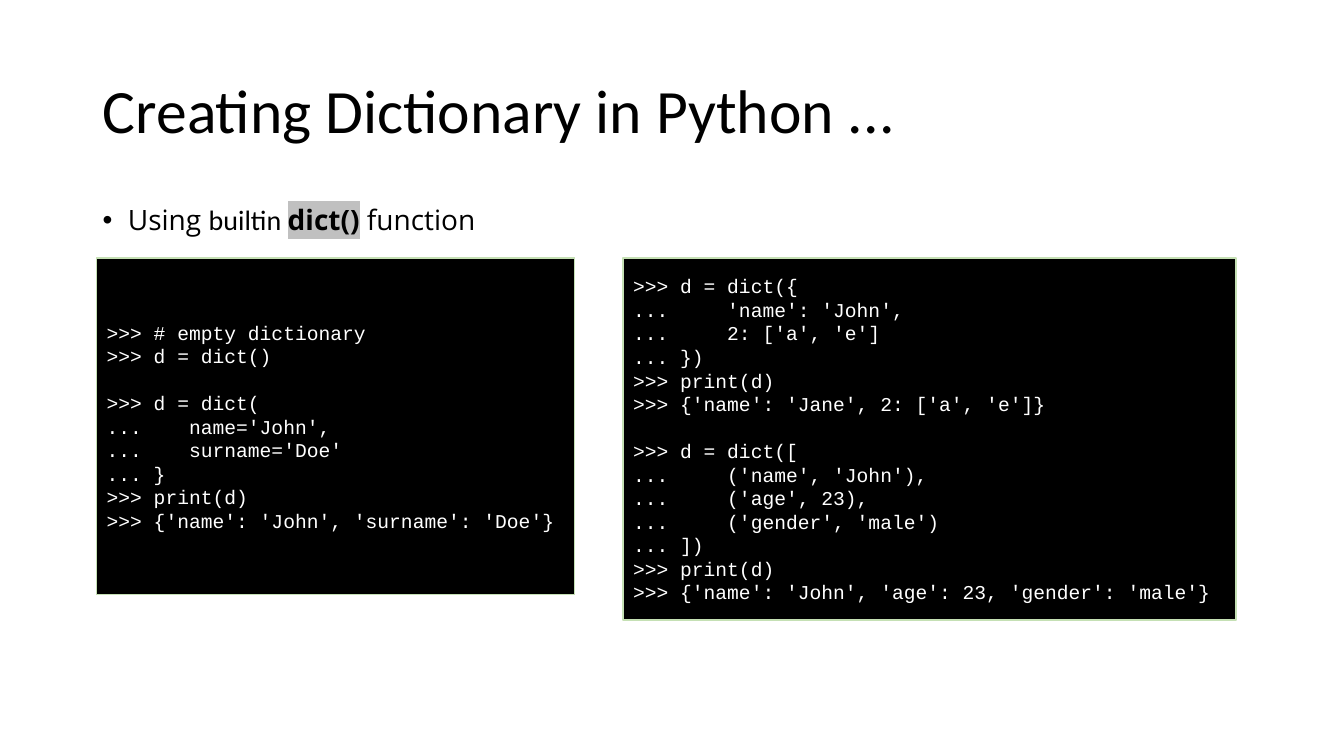
"""Build the slide on creating dictionaries with the dict() function."""
import pptx
import pptx.dml.color
import pptx.enum.shapes
import pptx.enum.text
import pptx.oxml
import pptx.oxml.ns
import pptx.util

Inches = pptx.util.Inches
Pt = pptx.util.Pt
MIDDLE = pptx.enum.text.MSO_ANCHOR.MIDDLE
LEFT = pptx.enum.text.PP_ALIGN.LEFT

TITLE = "Creating Dictionary in Python ..."
BULLET_RUNS = [
    ("Using ", "Open Sans", False),
    ("builtin ", "Calibri", False),
    ("dict()", "Open Sans", True),
    (" function", "Open Sans", False),
]
KEYWORD_CODE = [
    """>>> # empty dictionary
>>> d = dict()""",
    """>>> d = dict(
...    name='John',
...    surname='Doe'
... }
>>> print(d)
>>> {'name': 'John', 'surname': 'Doe'}""",
]
SEQUENCE_CODE = [
    """>>> d = dict({
...     'name': 'John',
...     2: ['a', 'e']
... })
>>> print(d)
>>> {'name': 'Jane', 2: ['a', 'e']}""",
    """>>> d = dict([
...     ('name', 'John'),
...     ('age', 23),
...     ('gender', 'male')
... ])
>>> print(d)
>>> {'name': 'John', 'age': 23, 'gender': 'male'}""",
]
CODE_PANELS = [
    ((0.96, 2.56, 4.74, 3.34), KEYWORD_CODE),
    ((6.18, 2.56, 6.08, 3.59), SEQUENCE_CODE),
]
TITLE_BOX = (0.92, 0.4, 11.5, 1.45)
BULLET_BOX = (0.92, 2, 11.5, 0.5)
CODE_LINE_HEIGHT = 16.8


def color(value):
    return pptx.dml.color.RGBColor.from_string(value)


def apply_format(target, values):
    for name, value in values.items():
        setattr(target, name, value)


def add_run(paragraph, text, font, size, fill, bold=False):
    run = paragraph.add_run()
    run.text = text
    apply_format(run.font, {"name": font, "size": Pt(size), "bold": bold})
    run.font.color.rgb = color(fill)
    return run


def highlight(run, value):
    namespace = pptx.oxml.ns.nsdecls("a")
    element = pptx.oxml.parse_xml(
        f'<a:highlight {namespace}><a:srgbClr val="{value}"/></a:highlight>'
    )
    run.font._element.find(pptx.oxml.ns.qn("a:solidFill")).addnext(element)


def add_title(slide):
    title = slide.shapes.title
    places = map(Inches, TITLE_BOX)
    apply_format(title, dict(zip(("left", "top", "width", "height"), places)))
    title.text_frame.vertical_anchor = MIDDLE
    paragraph = title.text_frame.paragraphs[0]
    apply_format(paragraph, {"alignment": LEFT, "line_spacing": 0.9})
    add_run(paragraph, TITLE, "Calibri", 44, "000000")


def add_bullet(slide):
    box = slide.shapes.add_textbox(*map(Inches, BULLET_BOX))
    box.text_frame.word_wrap = True
    paragraph = box.text_frame.paragraphs[0]
    apply_format(paragraph, {"line_spacing": 0.9, "space_before": Pt(10)})
    properties = paragraph._p.get_or_add_pPr()
    properties.set("marL", str(Inches(0.25)))
    properties.set("indent", str(Inches(-0.25)))
    namespace = pptx.oxml.ns.nsdecls("a")
    for tag in ('buFont typeface="Arial"', 'buChar char="•"'):
        properties.append(pptx.oxml.parse_xml(f"<a:{tag} {namespace}/>"))
    for text, font, emphasized in BULLET_RUNS:
        run = add_run(paragraph, text, font, 20, "000000", emphasized)
        if emphasized:
            highlight(run, "C0C0C0")


def add_code_panel(slide, box, blocks):
    rectangle = pptx.enum.shapes.MSO_SHAPE.RECTANGLE
    panel = slide.shapes.add_shape(rectangle, *map(Inches, box))
    panel.shadow.inherit = False
    panel.fill.solid()
    panel.fill.fore_color.rgb = color("000000")
    panel.line.color.rgb = color("C5E0B4")
    panel.line.width = Pt(1)
    frame = panel.text_frame
    apply_format(frame, {"word_wrap": True, "vertical_anchor": MIDDLE})
    paragraph = frame.paragraphs[0]
    for block_index, block in enumerate(blocks):
        for line_index, line in enumerate(block.splitlines()):
            if block_index or line_index:
                paragraph = frame.add_paragraph()
            paragraph.alignment = LEFT
            if block_index and not line_index:
                paragraph.space_before = Pt(CODE_LINE_HEIGHT)
            add_run(paragraph, line, "Courier New", 14, "FFFFFF")


def main():
    presentation = pptx.Presentation()
    size = {"slide_width": Inches(13.33), "slide_height": Inches(7.5)}
    apply_format(presentation, size)
    slide = presentation.slides.add_slide(presentation.slide_layouts[5])
    add_title(slide)
    add_bullet(slide)
    for box, blocks in CODE_PANELS:
        add_code_panel(slide, box, blocks)
    presentation.save("out.pptx")


if __name__ == "__main__":
    main()
